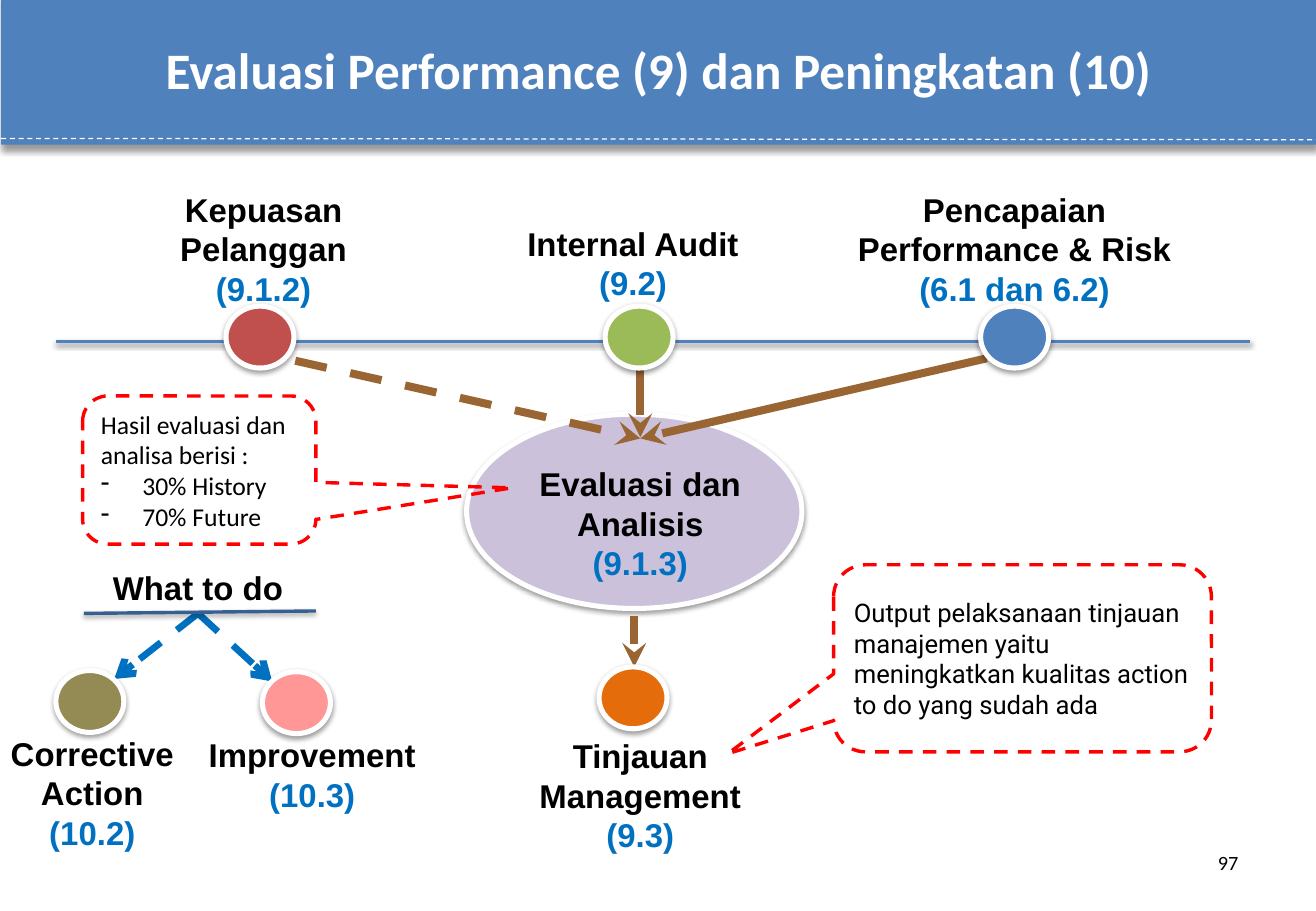
from lxml.etree import SubElement
from pptx import Presentation
from pptx.dml.color import RGBColor
from pptx.enum.dml import MSO_LINE
from pptx.enum.shapes import MSO_CONNECTOR, MSO_SHAPE
from pptx.enum.text import MSO_ANCHOR, PP_ALIGN
from pptx.oxml.ns import qn
from pptx.util import Pt

PX = 9144  # 100 px to the inch

BLACK = RGBColor(0x00, 0x00, 0x00)
WHITE = RGBColor(0xFF, 0xFF, 0xFF)
BLUE = RGBColor(0x4F, 0x81, 0xBD)
NAVY = RGBColor(0x37, 0x60, 0x92)
AZURE = RGBColor(0x00, 0x70, 0xC0)
BROWN = RGBColor(0x99, 0x66, 0x33)
LILAC = RGBColor(0xCC, 0xC1, 0xDA)
RED = RGBColor(0xFF, 0x00, 0x00)
BRICK = RGBColor(0xC0, 0x50, 0x4D)
GREEN = RGBColor(0x9B, 0xBB, 0x59)
ORANGE = RGBColor(0xE4, 0x6C, 0x0A)
OLIVE = RGBColor(0x94, 0x8A, 0x54)
PINK = RGBColor(0xFF, 0x97, 0x97)

# Content: lengths in px, shadows as (opacity %, blur pt, distance pt)
SOFT = (38, 3.1, 1.6)
DEEP = (40, 4, 3)

TITLE = "Evaluasi Performance (9) dan Peningkatan (10)"
BAND = (1, -6, 1083, 125)
HUB = (384, 341, 276, 160)
PAGE = ("97", (776, 695, 253, 40))

# name, clause, box
LABELS = [
    ("Internal Audit", "(9.2)", (335, 179, 372, 76)),
    ("Pencapaian Performance & Risk", "(6.1 dan 6.2)", (676, 151, 318, 109)),
    ("Kepuasan Pelanggan", "(9.1.2)", (115, 151, 204, 109)),
    ("Evaluasi dan Analisis", "(9.1.3)", (425, 377, 204, 109)),
    ("Tinjauan Management", "(9.3)", (425, 601, 204, 109)),
    ("What to do", None, (61, 462, 204, 43)),
    ("Corrective Action", "(10.2)", (-26, 599, 204, 109)),
    ("Improvement", "(10.3)", (155, 600, 204, 76)),
]

# ends, colour, weight, dashed, arrowhead
ARROWS = [
    ((527, 298, 527, 360), BROWN, 4.75, False, "stealth"),
    ((812, 295, 527, 361), BROWN, 4.75, False, "stealth"),
    ((243, 297, 527, 361), BROWN, 4.75, True, "stealth"),
    ((163, 505, 94, 559), AZURE, 4, True, "arrow"),
    ((163, 505, 224, 561), AZURE, 4, True, "arrow"),
    ((522, 507, 522, 549), BROWN, 4.75, False, "stealth"),
]

# ends, colour, weight, dashed, shadow
RULES = [
    ((1, 114, 1084, 115), WHITE, 0.75, True, None),
    ((46, 281, 1029, 281), BLUE, 2, False, SOFT),
    ((69, 505, 260, 503), NAVY, 2, False, SOFT),
]

# box, pointer, font, lead text, dash list
NOTES = [
    ((686, 465, 311, 154), (-0.78, 0.51, 0.17), "Roboto",
     "Output pelaksanaan tinjauan manajemen yaitu meningkatkan "
     "kualitas action to do yang sudah ada", []),
    ((68, 326, 192, 122), (1.34, 0.12, 0.17), "Calibri",
     "Hasil evaluasi dan analisa berisi :", ["30% History", "70% Future"]),
]

DOT = (56, 51)
DOTS = [
    (186, 252, BRICK), (498, 252, GREEN), (807, 252, BLUE),
    (493, 549, ORANGE), (46, 552, OLIVE), (216, 553, PINK),
]


def emu(box):
    return [n * PX for n in box]


def shade(shape, shadow=None):
    """Replace the theme shadow with the given one, or with none."""
    props = shape._element.spPr
    for old in props.findall(qn("a:effectLst")):
        props.remove(old)
    effect = SubElement(props, qn("a:effectLst"))
    if shadow:
        alpha, blur, dist = shadow
        outer = SubElement(effect, qn("a:outerShdw"), blurRad=str(Pt(blur)),
                           dist=str(Pt(dist)), dir="5400000", rotWithShape="0")
        tone = SubElement(outer, qn("a:srgbClr"), val=str(BLACK))
        SubElement(tone, qn("a:alpha"), val=str(alpha * 1000))


def style(par, face, size, color, bold=False, align=None):
    par.alignment = align
    for run in par.runs:
        font = run.font
        font.name, font.size, font.bold = face, Pt(size), bold
        font.color.rgb = color


def draw(ends, color, weight, dashed, shadow=None, head=None):
    link = slide.shapes.add_connector(MSO_CONNECTOR.STRAIGHT, *emu(ends))
    link.line.color.rgb, link.line.width = color, Pt(weight)
    if dashed:
        link.line.dash_style = MSO_LINE.DASH
    if head:
        SubElement(link.line._get_or_add_ln(), qn("a:tailEnd"), type=head)
    shade(link, shadow)


def oval(box, color):
    disc = slide.shapes.add_shape(MSO_SHAPE.OVAL, *emu(box))
    disc.fill.solid()
    disc.fill.fore_color.rgb = color
    disc.line.color.rgb, disc.line.width = WHITE, Pt(3)
    shade(disc, SOFT)


def write(box, lines):
    frame = slide.shapes.add_textbox(*emu(box)).text_frame
    frame.word_wrap = True
    frame.text = "\n".join(lines)
    return frame.paragraphs


deck = Presentation()
deck.slide_width, deck.slide_height = emu((1083, 750))
slide = deck.slides.add_slide(deck.slide_layouts[5])

# Title band
title = slide.shapes.title
title.left, title.top, title.width, title.height = emu(BAND)
title.fill.solid()
title.fill.fore_color.rgb = BLUE
title.text_frame.text = TITLE
title.text_frame.vertical_anchor = MSO_ANCHOR.MIDDLE
style(title.text_frame.paragraphs[0], "Calibri", 30.3, WHITE, True, PP_ALIGN.CENTER)
shade(title, DEEP)

# Hub, arrows and labels
oval(HUB, LILAC)
for ends, color, weight, dashed, head in ARROWS:
    draw(ends, color, weight, dashed, head=head)
for name, clause, box in LABELS:
    pars = write(box, [name, clause] if clause else [name])
    for par, color in zip(pars, (BLACK, AZURE)):
        style(par, "Arial", 19.5, color, True, PP_ALIGN.CENTER)

# Callouts
for box, tip, face, lead, items in NOTES:
    note = slide.shapes.add_shape(MSO_SHAPE.ROUNDED_RECTANGULAR_CALLOUT, *emu(box))
    for i, value in enumerate(tip):
        note.adjustments[i] = value
    note.fill.background()
    note.line.color.rgb, note.line.width = RED, Pt(2)
    note.line.dash_style = MSO_LINE.DASH
    shade(note)
    frame = note.text_frame
    frame.word_wrap = True
    frame.vertical_anchor = MSO_ANCHOR.MIDDLE
    frame.margin_left = frame.margin_right = 9 * PX
    frame.text = "\n".join([lead] + items)
    for i, par in enumerate(frame.paragraphs):
        if i:
            props = par._p.get_or_add_pPr()
            props.set("marL", str(34 * PX))
            props.set("indent", str(-34 * PX))
            SubElement(props, qn("a:buChar"), char="-")
        style(par, face, 15.2, BLACK, align=PP_ALIGN.LEFT)

# Rules and dots
for ends, color, weight, dashed, shadow in RULES:
    draw(ends, color, weight, dashed, shadow)
for x, y, color in DOTS:
    oval((x, y, *DOT), color)

# Page number
number, box = PAGE
style(write(box, [number])[0], "Calibri", 12, BLACK, align=PP_ALIGN.RIGHT)

deck.save("out.pptx")
